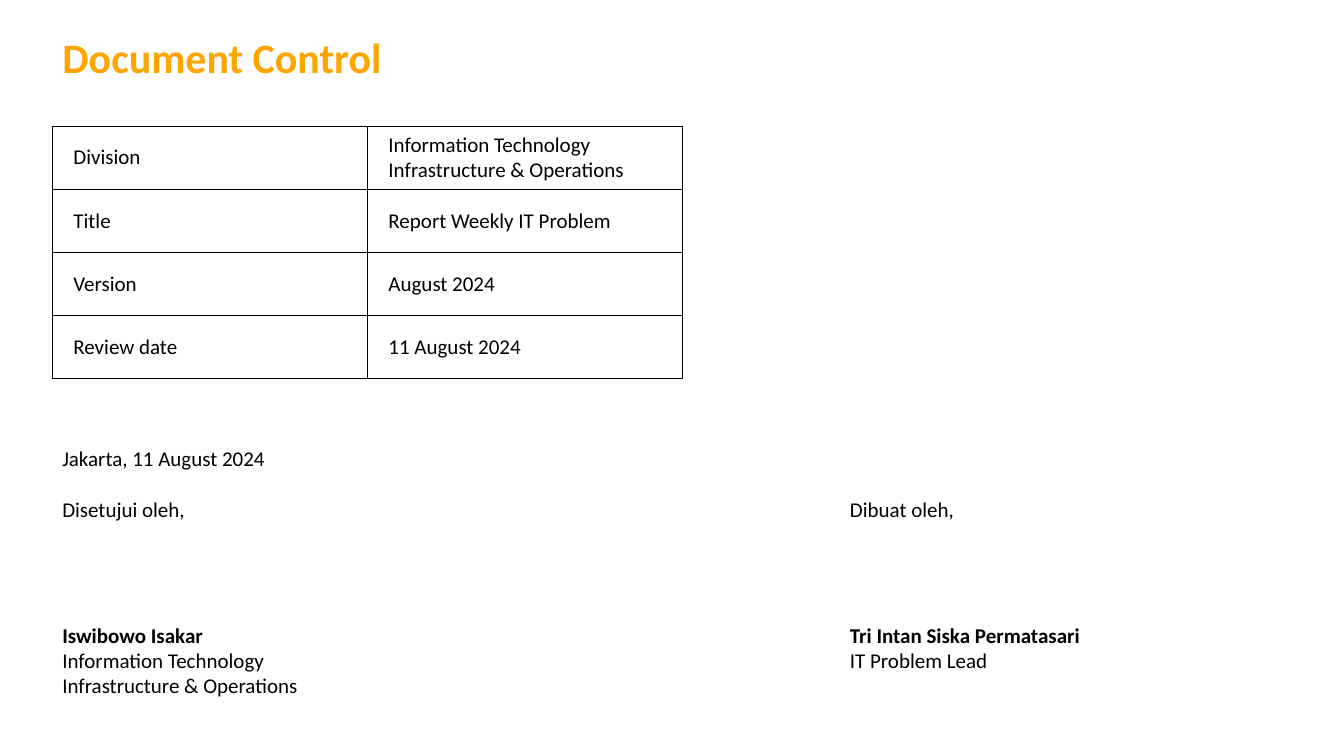
from lxml.etree import SubElement
from pptx import Presentation
from pptx.dml.color import RGBColor
from pptx.enum.text import MSO_ANCHOR
from pptx.oxml.ns import qn
from pptx.util import Cm, Pt

BLACK = RGBColor(0, 0, 0)
ORANGE = RGBColor(0xFF, 0xA5, 0)

LEFT = 1.32
COLUMN_WIDTH = 7.94
ROW_HEIGHT = 1.59

DETAILS = [
    ("Division", "Information Technology Infrastructure & Operations"),
    ("Title", "Report Weekly IT Problem"),
    ("Version", "August 2024"),
    ("Review date", "11 August 2024"),
]


def write(para, text, size=15, color=BLACK, bold=False, before=0):
    span = para.add_run()
    span.text = text
    span.font.name = "Calibri"
    span.font.size = Pt(size)
    span.font.bold = bold
    span.font.color.rgb = color
    if before:
        para.space_before = Pt(before)


class ControlPage:
    """Draws text boxes and tables in one style on the current slide."""

    def __init__(self, deck):
        self.page = deck.slides.add_slide(deck.slide_layouts[6])

    def text(self, left, top, width, height, lines):
        box = self.page.shapes.add_textbox(Cm(left), Cm(top), Cm(width), Cm(height))
        frame = box.text_frame
        frame.word_wrap = True
        for index, (line, style) in enumerate(lines):
            para = frame.add_paragraph() if index else frame.paragraphs[0]
            write(para, line, **style)

    def table(self, left, top, rows):
        columns = len(rows[0])
        table = self.page.shapes.add_table(
            len(rows), columns, Cm(left), Cm(top),
            Cm(COLUMN_WIDTH * columns), Cm(ROW_HEIGHT * len(rows))).table
        table.first_row = table.horz_banding = False
        for row_index, row in enumerate(rows):
            for column_index, value in enumerate(row):
                cell = table.cell(row_index, column_index)
                cell.margin_left = Cm(0.53)
                cell.margin_right = cell.margin_top = cell.margin_bottom = 0
                cell.vertical_anchor = MSO_ANCHOR.MIDDLE
                self.borders(cell)
                cell.fill.background()
                write(cell.text_frame.paragraphs[0], value)

    def borders(self, cell):
        properties = cell._tc.get_or_add_tcPr()
        for side in ("a:lnL", "a:lnR", "a:lnT", "a:lnB"):
            line = SubElement(properties, qn(side), w=str(Pt(1)))
            fill = SubElement(line, qn("a:solidFill"))
            SubElement(fill, qn("a:srgbClr"), val=str(BLACK))


def main():
    deck = Presentation()
    deck.slide_width, deck.slide_height = Cm(33.87), Cm(18.52)
    page = ControlPage(deck)
    page.text(LEFT, 0.66, 10.59, 1.32,
              [("Document Control", {"size": 30, "color": ORANGE, "bold": True})])
    page.table(LEFT, 3.18, DETAILS)
    signer = {"bold": True, "before": 72}
    page.text(LEFT, 11.11, COLUMN_WIDTH, 6.6, [
        ("Jakarta, 11 August 2024", {}),
        ("Disetujui oleh,", {"before": 18}),
        ("Iswibowo Isakar", signer),
        ("Information Technology", {}),
        ("Infrastructure & Operations", {}),
    ])
    page.text(21.17, 12.38, COLUMN_WIDTH, 5.33, [
        ("Dibuat oleh,", {}),
        ("Tri Intan Siska Permatasari", signer),
        ("IT Problem Lead", {}),
    ])
    deck.save("out.pptx")


if __name__ == "__main__":
    main()
